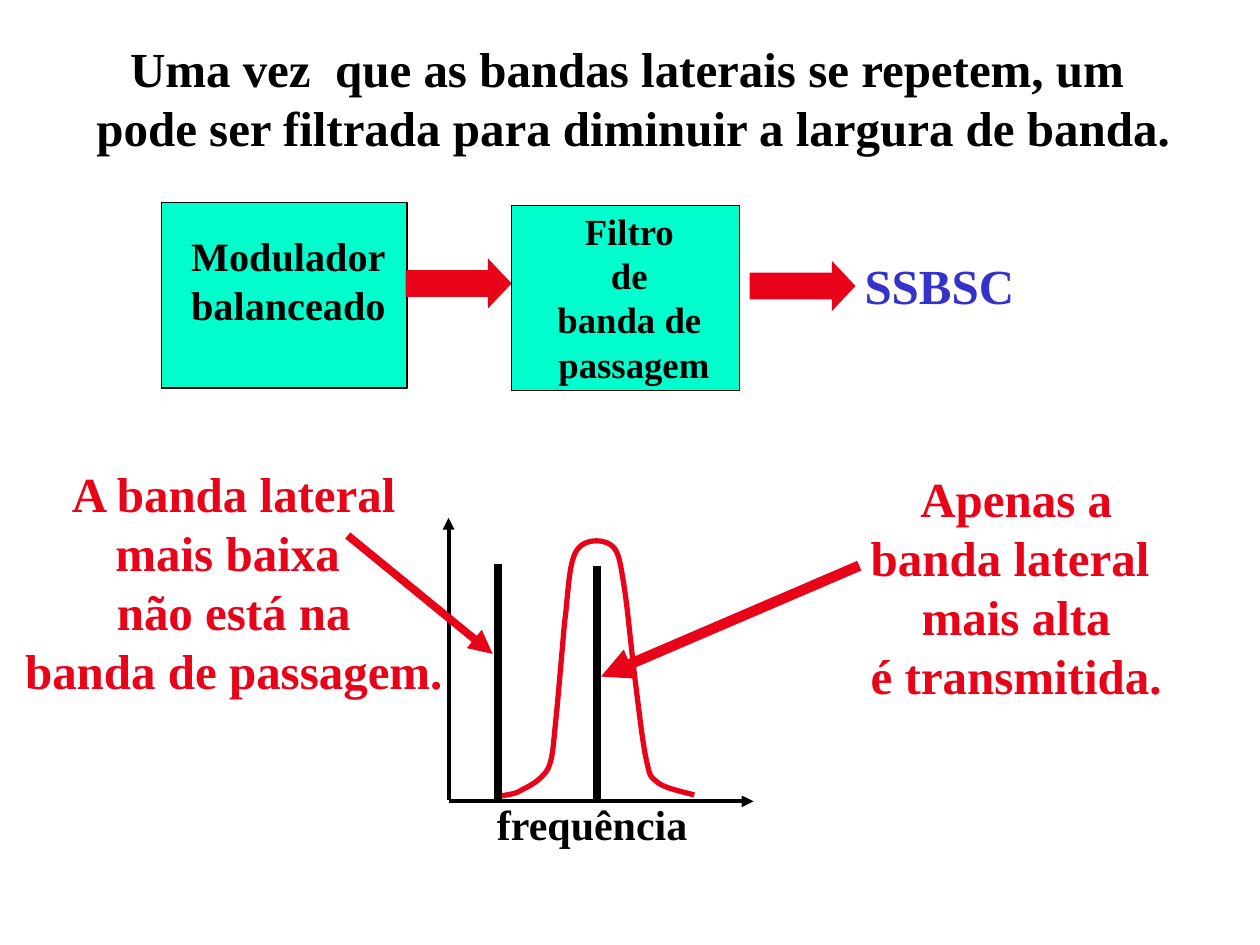
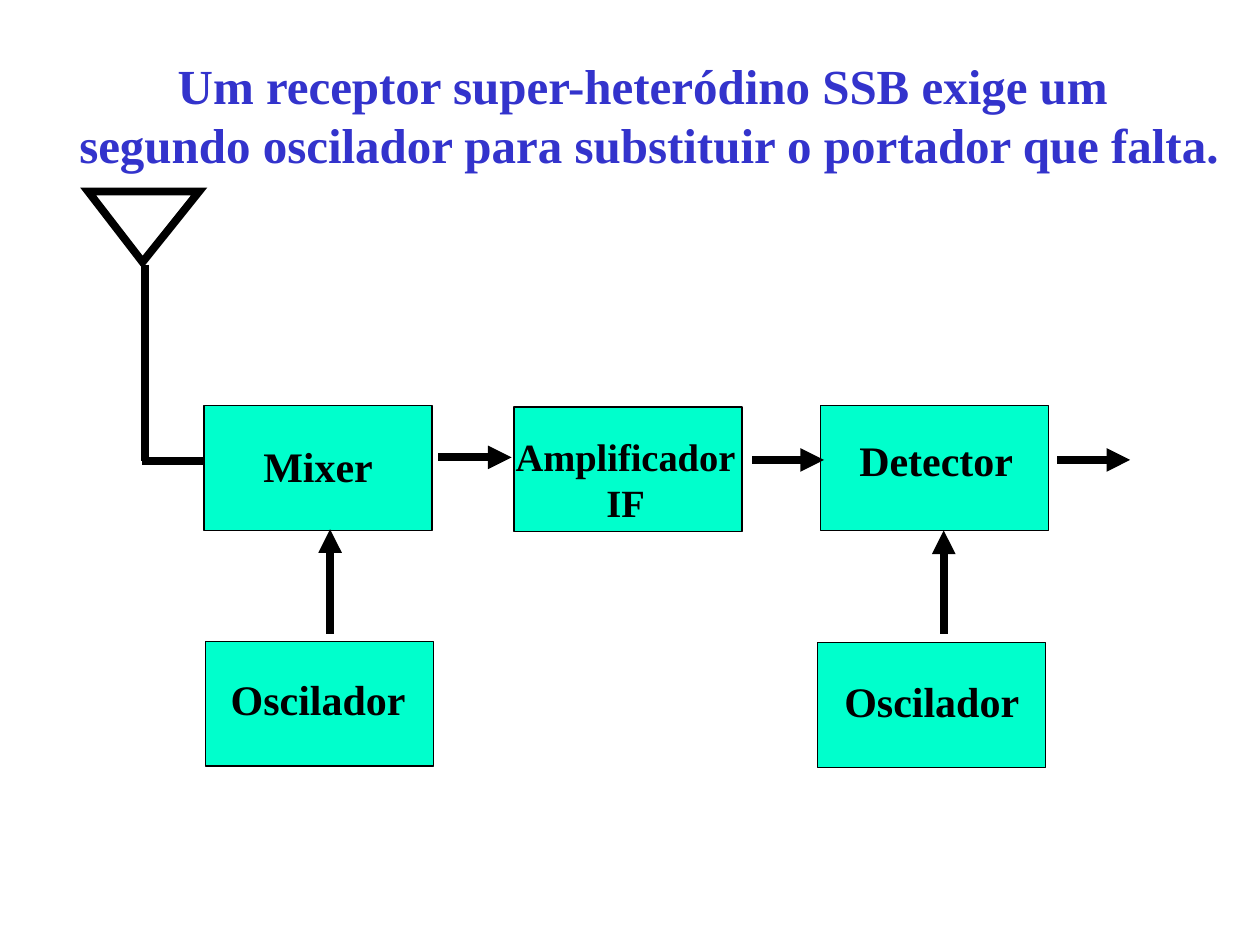
"""Builds two slides on SSB transmission: filtering one sideband and the superheterodyne receiver."""
from lxml import etree
from pptx import Presentation
from pptx.dml.color import RGBColor
from pptx.enum.shapes import MSO_CONNECTOR, MSO_SHAPE
from pptx.enum.text import MSO_AUTO_SIZE, PP_ALIGN
from pptx.oxml.ns import qn
from pptx.util import Inches, Pt

STRAIGHT = MSO_CONNECTOR.STRAIGHT
RECTANGLE = MSO_SHAPE.RECTANGLE
RIGHT_ARROW = MSO_SHAPE.RIGHT_ARROW
TRIANGLE = MSO_SHAPE.ISOSCELES_TRIANGLE
CENTER = PP_ALIGN.CENTER
GROW = MSO_AUTO_SIZE.SHAPE_TO_FIT_TEXT

BLACK = RGBColor(0x00, 0x00, 0x00)
RED = RGBColor(0xE9, 0x03, 0x19)
BLUE = RGBColor(0x33, 0x33, 0xCC)
MINT = RGBColor(0x00, 0xFF, 0xCC)
FONT = "Times New Roman"
HEADING_SIZE = 28
BLOCK_WIDTH = 1.81


def add_text(slide, left, top, width, height, lines, size, color):
    box = slide.shapes.add_textbox(Inches(left), Inches(top), Inches(width), Inches(height))
    frame = box.text_frame
    frame.word_wrap = False
    frame.auto_size = GROW
    for number, line in enumerate(lines):
        paragraph = frame.add_paragraph() if number else frame.paragraphs[0]
        paragraph.alignment = CENTER
        run = paragraph.add_run()
        run.text = line
        run.font.name = FONT
        run.font.size = Pt(size)
        run.font.bold = True
        run.font.color.rgb = color


def add_line(slide, start, end, color, weight, arrow):
    line = slide.shapes.add_connector(STRAIGHT, *map(Inches, start + end))
    line.line.color.rgb = color
    line.line.width = Pt(weight)
    properties = line._element.spPr
    if arrow:
        etree.SubElement(properties.find(qn("a:ln")), qn("a:tailEnd"), type="triangle")
    etree.SubElement(properties, qn("a:effectLst"))


prs = Presentation()
prs.slide_width = Inches(10)
prs.slide_height = Inches(7.5)
blank = prs.slide_layouts[6]
filtering = prs.slides.add_slide(blank)
receiver = prs.slides.add_slide(blank)

headings = [
    (filtering, 0.66, 0.26, 8.73, BLACK,
     ["Uma vez  que as bandas laterais se repetem, um ",
      "pode ser filtrada para diminuir a largura de banda."]),
    (receiver, 0.52, 0.39, 9.26, BLUE,
     ["Um receptor super-heteródino SSB exige um ",
      "segundo oscilador para substituir o portador que falta."]),
]
for slide, left, top, width, color, lines in headings:
    add_text(slide, left, top, width, 1.04, lines, HEADING_SIZE, color)

blocks = [
    (filtering, (1.28, 1.61, 1.95, 1.47), (1.29, 1.79, 2, 0.87), 23,
     ["Modulador", "balanceado"]),
    (filtering, (4.06, 1.63, BLOCK_WIDTH, 1.47), (4.26, 1.61, 1.47, 1.5), 21,
     ["Filtro", "de", "banda de", " passagem"]),
    (receiver, (4.08, 3.23, BLOCK_WIDTH, 0.99), (3.95, 3.39, 2.03, 0.84), 22,
     ["Amplificador", "IF"]),
    (receiver, (1.62, 3.22, BLOCK_WIDTH, 0.99), (1.99, 3.45, 1.07, 0.5), 24, ["Mixer"]),
    (receiver, (6.51, 3.22, BLOCK_WIDTH, 0.99), (6.72, 3.4, 1.42, 0.5), 24, ["Detector"]),
    (receiver, (1.63, 5.09, BLOCK_WIDTH, 0.99), (1.73, 5.3, 1.59, 0.5), 24, ["Oscilador"]),
    (receiver, (6.49, 5.1, BLOCK_WIDTH, 0.99), (6.6, 5.31, 1.59, 0.5), 24, ["Oscilador"]),
]
for slide, outline, label, size, lines in blocks:
    block = slide.shapes.add_shape(RECTANGLE, *map(Inches, outline))
    block.shadow.inherit = False
    block.fill.solid()
    block.fill.fore_color.rgb = MINT
    block.line.color.rgb = BLACK
    block.line.width = Pt(0.75)
    add_text(slide, *label, lines, size, BLACK)

for left, top in [(3.22, 2.05), (5.95, 2.07)]:
    signal = filtering.shapes.add_shape(
        RIGHT_ARROW, Inches(left), Inches(top), Inches(0.84), Inches(0.4))
    signal.shadow.inherit = False
    signal.adjustments[0] = 0.53
    signal.adjustments[1] = 0.47
    signal.fill.solid()
    signal.fill.fore_color.rgb = RED
    signal.line.fill.background()

response_start = (3.96, 6.32)
response_curves = [
    ((3.99, 6.31), (4.08, 6.31), (4.14, 6.27)),
    ((4.2, 6.24), (4.3, 6.19), (4.35, 6.1)),
    ((4.39, 6.01), (4.39, 5.92), (4.41, 5.73)),
    ((4.43, 5.54), (4.46, 5.18), (4.48, 4.95)),
    ((4.51, 4.73), (4.51, 4.49), (4.57, 4.38)),
    ((4.63, 4.27), (4.78, 4.28), (4.84, 4.32)),
    ((4.91, 4.36), (4.92, 4.45), (4.95, 4.63)),
    ((4.98, 4.81), (5.01, 5.15), (5.04, 5.39)),
    ((5.07, 5.62), (5.1, 5.9), (5.13, 6.03)),
    ((5.16, 6.17), (5.16, 6.16), (5.22, 6.21)),
    ((5.28, 6.26), (5.45, 6.29), (5.51, 6.31)),
]
STEPS = 10
response_points = []
begin = response_start
for first, second, end in response_curves:
    for step in range(1, STEPS + 1):
        t = step / STEPS
        response_points.append(tuple(
            Inches((1 - t) ** 3 * a + 3 * (1 - t) ** 2 * t * b
                   + 3 * (1 - t) * t ** 2 * c + t ** 3 * d)
            for a, b, c, d in zip(begin, first, second, end)))
    begin = end
builder = filtering.shapes.build_freeform(*map(Inches, response_start))
builder.add_line_segments(response_points, close=False)
response = builder.convert_to_shape()
response.shadow.inherit = False
response.fill.background()
response.line.color.rgb = RED
response.line.width = Pt(3)

antenna = receiver.shapes.add_shape(
    TRIANGLE, Inches(0.7), Inches(1.52), Inches(0.88), Inches(0.56))
antenna.shadow.inherit = False
antenna.rotation = 180
antenna.adjustments[0] = 0.51
antenna.fill.background()
antenna.line.color.rgb = BLACK
antenna.line.width = Pt(4.5)
etree.SubElement(antenna._element.spPr.find(qn("a:ln")), qn("a:miter"), lim="800000")

connections = [
    (filtering, (3.56, 6.35), (3.56, 4.11), BLACK, 2.25, True),
    (filtering, (3.56, 6.36), (5.98, 6.36), BLACK, 2.25, True),
    (filtering, (4.74, 4.49), (4.74, 6.35), BLACK, 4.5, False),
    (filtering, (3.95, 4.48), (3.95, 6.34), BLACK, 4.5, False),
    (filtering, (2.76, 4.25), (3.91, 5.19), RED, 4.5, True),
    (filtering, (6.82, 4.49), (4.77, 5.37), RED, 6, True),
    (receiver, (1.15, 2.1), (1.15, 3.66), BLACK, 4.5, False),
    (receiver, (1.13, 3.66), (1.61, 3.66), BLACK, 4.5, False),
    (receiver, (2.62, 5.03), (2.62, 4.2), BLACK, 4.5, True),
    (receiver, (7.49, 5.03), (7.49, 4.21), BLACK, 4.5, True),
    (receiver, (3.48, 3.63), (4.06, 3.63), BLACK, 4.5, True),
    (receiver, (5.97, 3.65), (6.54, 3.65), BLACK, 4.5, True),
    (receiver, (8.39, 3.65), (8.97, 3.65), BLACK, 4.5, True),
]
for connection in connections:
    add_line(*connection)

add_text(filtering, 3.84, 6.29, 1.72, 0.5, ["frequência"], 24, BLACK)
add_text(filtering, 6.76, 1.98, 1.39, 0.57, ["SSBSC"], HEADING_SIZE, BLUE)
add_text(filtering, 0.1, 3.63, 3.51, 1.97,
         ["A banda lateral", "mais baixa ", "não está na", "banda de passagem."],
         HEADING_SIZE, RED)
add_text(filtering, 6.81, 3.67, 2.51, 1.97,
         ["Apenas a", "banda lateral ", "mais alta", "é transmitida."],
         HEADING_SIZE, RED)

prs.save("out.pptx")
